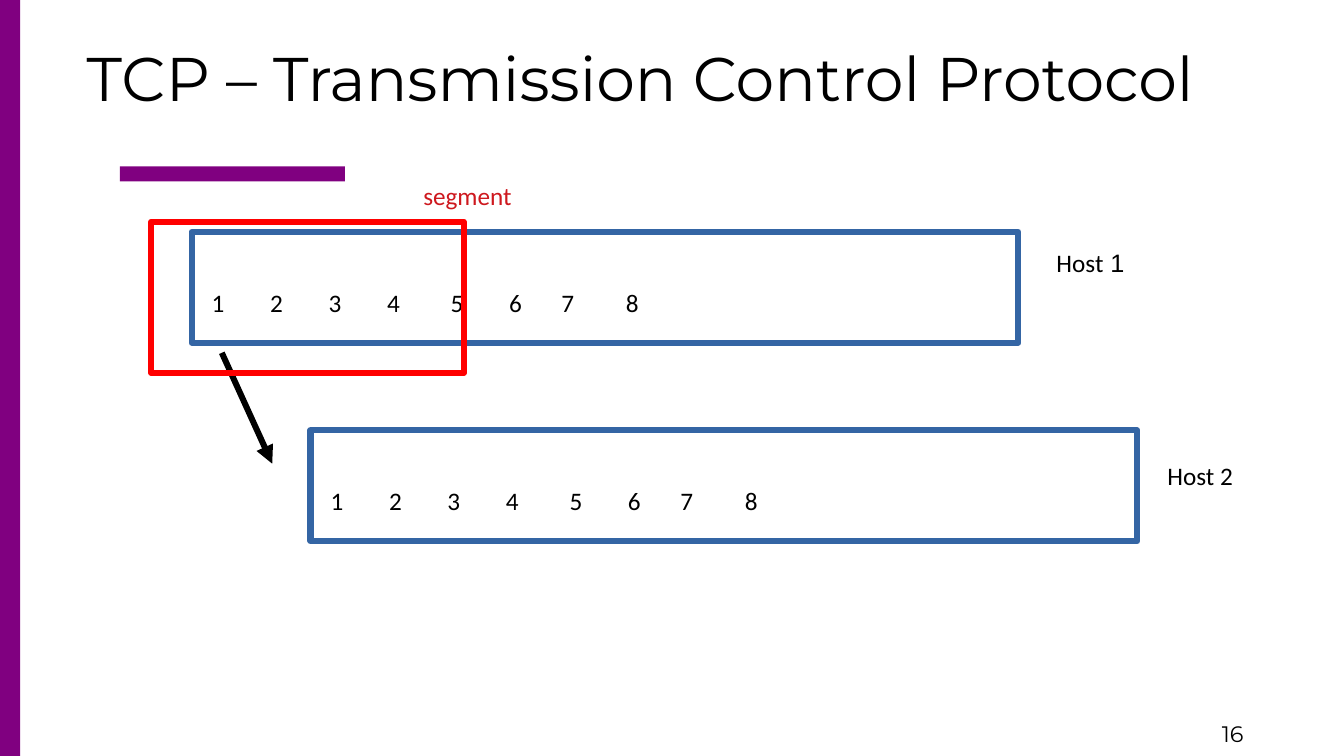
from pptx import Presentation
from pptx.dml.color import RGBColor
from pptx.enum.shapes import MSO_CONNECTOR, MSO_SHAPE
from pptx.enum.text import MSO_ANCHOR
from pptx.oxml.ns import qn
from pptx.util import Inches, Pt
from lxml.etree import SubElement as Sub

PURPLE = RGBColor(0x80, 0x00, 0x80)
BLUE = RGBColor(0x34, 0x65, 0xA4)
RED = RGBColor(0xFF, 0x00, 0x00)
CRIMSON = RGBColor(0xCE, 0x18, 0x1E)
BLACK = RGBColor(0x00, 0x00, 0x00)

TITLE = "TCP – Transmission Control Protocol"
PAGE = "16"
BARS = [(1.19, 1.65, 2.23, 0.15), (0, 0, 0.2, 7.5)]
BYTES = "12345678"
STOPS = [0.58, 1.16, 1.74, 2.37, 2.95, 3.47, 4.11]
# Left and top of each buffer, then its label as (text, font) runs and the label's place
HOSTS = [
    (1.9, 2.3, [("Host", "Calibri"), (" 1", "Arial")], 10.38, 2.4),
    (3.08, 4.27, [("Host 2", "Calibri")], 11.48, 4.52),
]
BUFFER = (8.2, 1.1)
WINDOW = (1.5, 2.2, 3.1, 1.5)
ARROW = (2.2, 3.5, 2.7, 4.6)
THICK = Pt(4.31)


def add_rect(slide, box, fill=None, line=None):
    rect = slide.shapes.add_shape(MSO_SHAPE.RECTANGLE, *map(Inches, box))
    rect.shadow.inherit = False
    if fill is None:
        rect.fill.background()
    else:
        rect.fill.solid()
        rect.fill.fore_color.rgb = fill
    if line is None:
        rect.line.fill.background()
    else:
        rect.line.color.rgb = line
        rect.line.width = THICK


def add_text(slide, box, runs, size=18, color=BLACK, wrap=True, stops=()):
    """Add a text box with one paragraph of (text, font) runs."""
    frame = slide.shapes.add_textbox(*map(Inches, box)).text_frame
    frame.word_wrap = wrap
    para = frame.paragraphs[0]
    if stops:
        tabs = Sub(para._p.get_or_add_pPr(), qn("a:tabLst"))
        for stop in stops:
            Sub(tabs, qn("a:tab"), pos=str(Inches(stop)), algn="l")
    para.font.size = Pt(size)
    para.font.color.rgb = color
    if len(runs) == 1:
        para.font.name = runs[0][1]
    for text, font in runs:
        run = para.add_run()
        run.text = text
        if len(runs) > 1:
            run.font.name = font
    return frame


def add_arrow(slide, ends):
    arrow = slide.shapes.add_connector(MSO_CONNECTOR.STRAIGHT, *map(Inches, ends))
    arrow.line.color.rgb = BLACK
    arrow.line.width = THICK
    Sub(arrow.line._get_or_add_ln(), qn("a:tailEnd"), type="triangle")
    Sub(arrow._element.spPr, qn("a:effectLst"))


def main():
    deck = Presentation()
    deck.slide_width, deck.slide_height = Inches(13.33), Inches(7.5)
    slide = deck.slides.add_slide(deck.slide_layouts[6])

    for bar in BARS:
        add_rect(slide, bar, fill=PURPLE)
    add_text(slide, (12.02, 7.1, 1.3, 0.4), [(PAGE, "Montserrat")], size=16)
    title = add_text(slide, (0.52, 0.28, 12.02, 0.97), [(TITLE, "Montserrat")], size=44)
    title.margin_left = Inches(0.34)
    title.vertical_anchor = MSO_ANCHOR.MIDDLE

    for left, top, label, x, y in HOSTS:
        add_rect(slide, (left, top, *BUFFER), line=BLUE)
        add_text(slide, (left + 0.1, top + 0.5, 5.29, 0.4),
                 [("\t".join(BYTES), "Calibri")], wrap=False, stops=STOPS)
        add_text(slide, (x, y, 0.92, 0.4), label, wrap=False)

    add_arrow(slide, ARROW)
    add_rect(slide, WINDOW, line=RED)
    add_text(slide, (4.1, 1.74, 2.4, 2.06), [("segment", "Calibri")], color=CRIMSON)
    deck.save("out.pptx")


if __name__ == "__main__":
    main()
